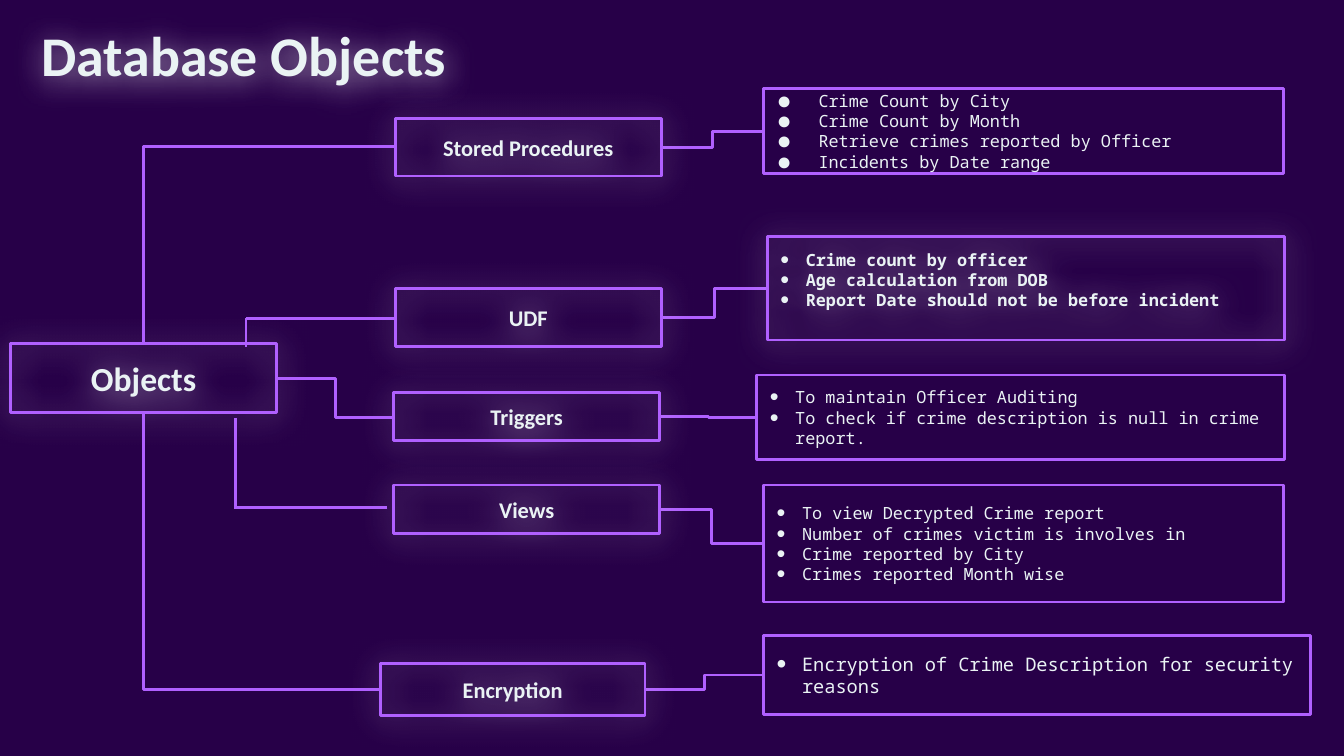
"""Build the Database Objects tree slide."""
from lxml import etree
from pptx import Presentation
from pptx.dml.color import RGBColor
from pptx.enum import shapes, text
from pptx.oxml import parse_xml
from pptx.oxml.ns import nsdecls, qn
from pptx.util import Cm, Pt

BACK = RGBColor(0x27, 0x00, 0x48)
EDGE = RGBColor(0xB0, 0x60, 0xFF)
PALE = RGBColor(0xEA, 0xF3, 0xF4)
GLOW = (f'<a:outerShdw {nsdecls("a")} blurRad="{Pt(16.9)}" dist="{Pt(1.5)}" '
        'dir="5400000" algn="ctr" rotWithShape="0">'
        '<a:srgbClr val="FFFFFF"><a:alpha val="63000"/></a:srgbClr></a:outerShdw>')
ELBOW = shapes.MSO_CONNECTOR.ELBOW
LINE = shapes.MSO_CONNECTOR.STRAIGHT
LEFT, MID, JUST = text.PP_ALIGN.LEFT, text.PP_ALIGN.CENTER, text.PP_ALIGN.JUSTIFY
HEAD = {"name": "Calibri", "size": Pt(12), "bold": True}
MONO = {"name": "Noto Sans Mono", "size": Pt(9), "bold": False}
WIDE = {"bu": "●", "left": 0.79, "hang": 0.89}
SLIM = {"bu": "•", "left": 0.48, "hang": 0.48}


def fill(shape, lines, font, align, glow, mark=None, top=False):
    shape.shadow.inherit = False
    if glow:
        shape._element.spPr.find(qn("a:effectLst")).append(parse_xml(GLOW))
    frame = shape.text_frame
    anchor = text.MSO_ANCHOR.TOP if top else text.MSO_ANCHOR.MIDDLE
    form = {"word_wrap": True, "auto_size": text.MSO_AUTO_SIZE.NONE,
            "vertical_anchor": anchor}
    form.update({f"margin_{side}": Cm(0.25) for side in ("left", "top", "right", "bottom")})
    for key, val in form.items():
        setattr(frame, key, val)
    frame.text = "\n".join(lines)
    for para in frame.paragraphs:
        para.alignment = align
        if mark:
            prop = para._p.get_or_add_pPr()
            prop.set("marL", str(Cm(mark["left"])))
            prop.set("indent", str(-Cm(mark["hang"])))
            tint = etree.SubElement(prop, qn("a:buClr"))
            etree.SubElement(tint, qn("a:srgbClr"), val=str(PALE))
            etree.SubElement(prop, qn("a:buSzPct"), val="150000")
            etree.SubElement(prop, qn("a:buFont"), typeface="Arial")
            etree.SubElement(prop, qn("a:buChar"), char=mark["bu"])
        for run in para.runs:
            for key, val in font.items():
                setattr(run.font, key, val)
            run.font.color.rgb = PALE


def link(kind, *ends):
    wire = slide.shapes.add_connector(kind, *map(Cm, ends))
    wire.line.color.rgb = EDGE
    wire.line.width = Pt(1.5)
    etree.SubElement(wire._element.spPr, qn("a:effectLst"))
    return wire


deck = Presentation()
deck.slide_width, deck.slide_height = Cm(25.4), Cm(14.29)
slide = deck.slides.add_slide(deck.slide_layouts[5])
slide.background.fill.solid()
slide.background.fill.fore_color.rgb = BACK

title = slide.shapes.title
spot = {"left": Cm(0.53), "top": Cm(0.23), "width": Cm(21.41), "height": Cm(1.6)}
for key, val in spot.items():
    setattr(title, key, val)
fill(title, ["Database Objects"], HEAD | {"size": Pt(30)}, LEFT, True)

rows = [
    ("Stored Procedures", (7.47, 2.24, 5.03, 1.09), (14.43, 1.68, 9.83, 1.6),
     ["Crime Count by City", "Crime Count by Month",
      "Retrieve crimes reported by Officer", "Incidents by Date range"],
     MONO, LEFT, False, WIDE),
    ("UDF", (7.47, 5.46, 5.03, 1.09), (14.5, 4.47, 9.78, 1.96),
     ["Crime count by officer", "Age calculation from DOB",
      "Report Date should not be before incident"],
     MONO | {"bold": True}, JUST, True, SLIM, True),
    ("Triggers", (7.44, 7.42, 5.03, 0.91), (14.3, 7.09, 9.98, 1.6),
     ["To maintain Officer Auditing",
      "To check if crime description is null in crime report."],
     MONO, LEFT, False, SLIM),
    ("Views", (7.44, 9.17, 5.03, 0.91), (14.43, 9.17, 9.83, 2.21),
     ["To view Decrypted Crime report", "Number of crimes victim is involves in",
      "Crime reported by City", "Crimes reported Month wise"],
     MONO, LEFT, False, SLIM),
    ("Encryption", (7.19, 12.55, 5, 0.97), (14.43, 12.01, 10.34, 1.5),
     ["Encryption of Crime Description for security reasons"],
     MONO | {"size": Pt(10)}, LEFT, False, SLIM),
]

boxes = [((0.2, 6.5, 5.03, 1.3), ["Objects"], HEAD | {"size": Pt(18)}, MID, True)]
for name, tag, note, *body in rows:
    boxes += [(tag, [name], HEAD, MID, True), (note, *body)]
    x, y, w, h = tag
    link(ELBOW, x + w, y + h / 2, note[0], note[1] + note[3] / 2)

for place, *body in boxes:
    box = slide.shapes.add_shape(shapes.MSO_SHAPE.RECTANGLE, *map(Cm, place))
    box.fill.background()
    box.line.color.rgb = EDGE
    box.line.width = Pt(1.5)
    fill(box, *body)

for ends in [(7.47, 2.77, 2.72, 6.5), (7.19, 13.03, 2.72, 7.8)]:
    bend = link(ELBOW, *ends)
    bend._element.spPr.find(qn("a:prstGeom")).set("prst", "bentConnector2")
link(ELBOW, 5.23, 7.16, 7.44, 7.9)
for ends in [(7.47, 6.02, 4.65, 6.02), (4.65, 6.55, 4.65, 6.02),
             (7.32, 9.6, 4.45, 9.6), (4.45, 7.9, 4.45, 9.63)]:
    link(LINE, *ends)

deck.save("out.pptx")
